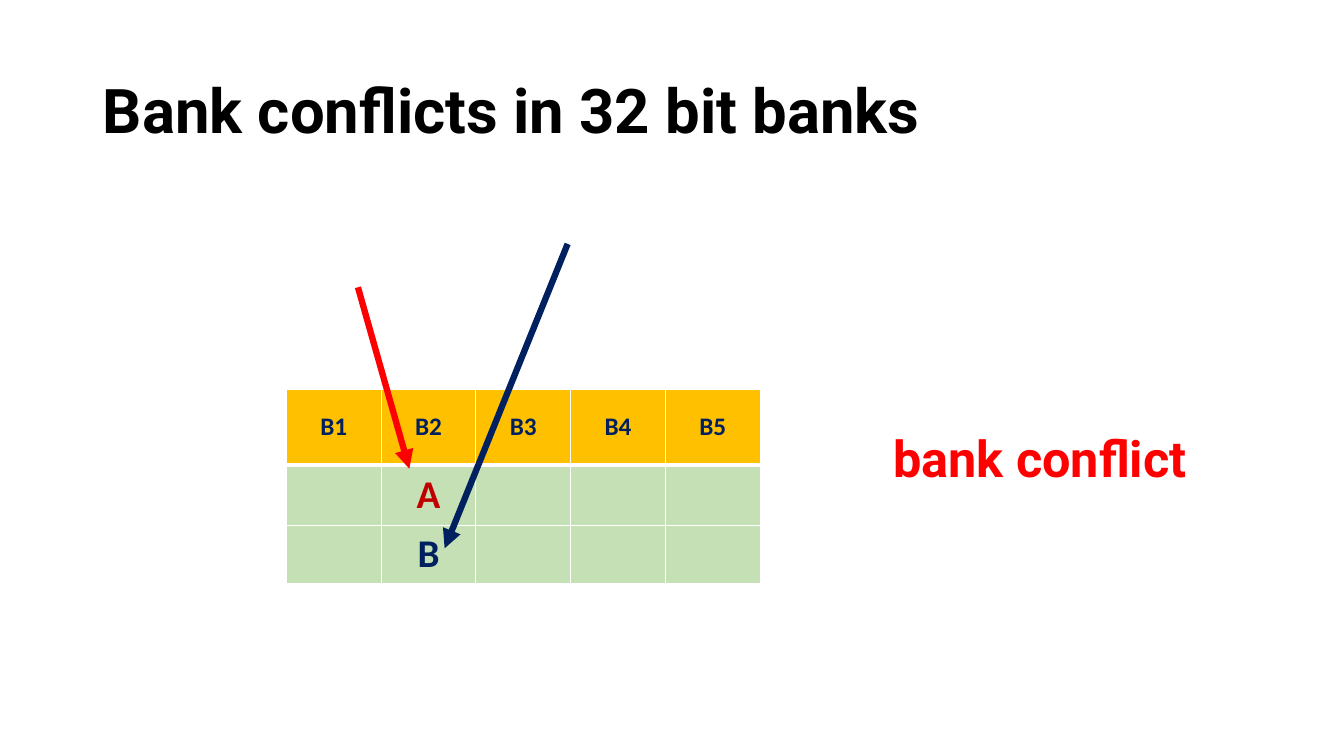
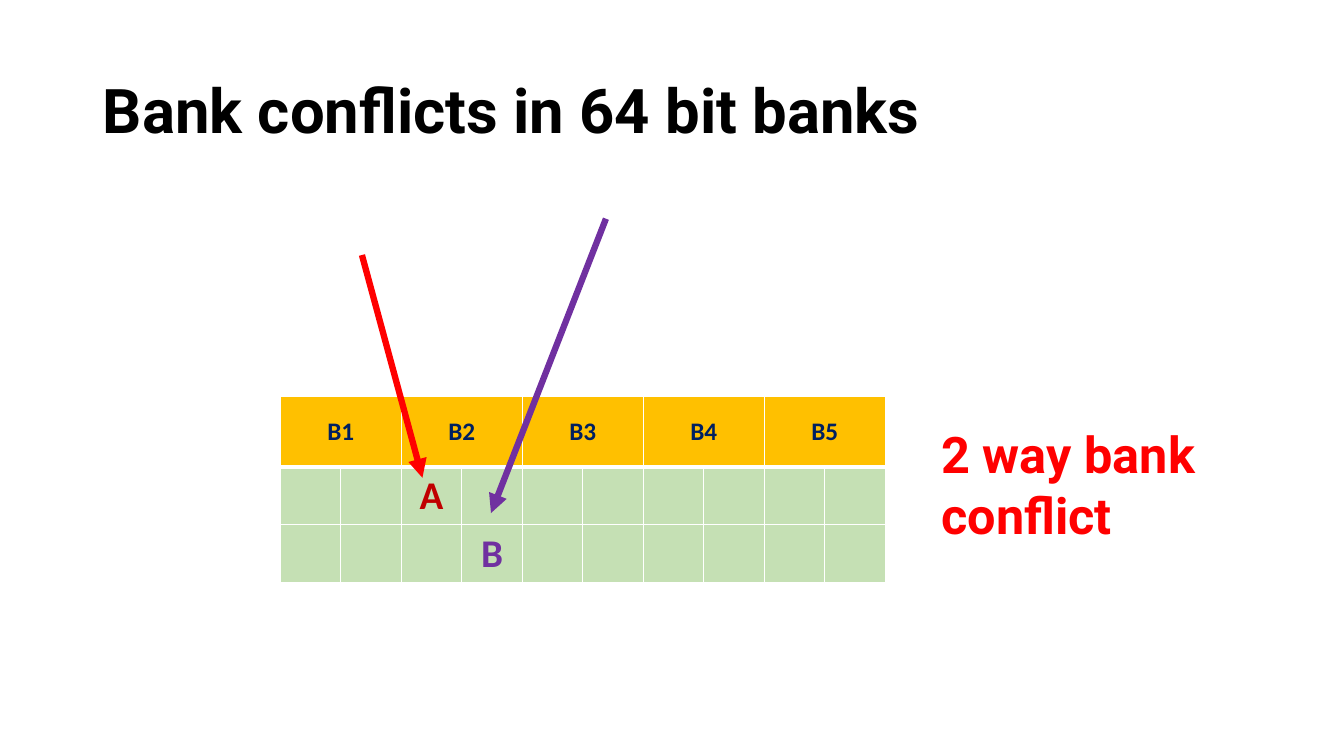
from pptx import Presentation
from pptx.dml.color import RGBColor
from pptx.enum.shapes import MSO_CONNECTOR
from pptx.enum.text import MSO_ANCHOR, MSO_AUTO_SIZE, PP_ALIGN
from pptx.oxml.ns import qn
from pptx.oxml.xmlchemy import OxmlElement
from pptx.util import Inches, Pt

STRAIGHT = MSO_CONNECTOR.STRAIGHT
MIDDLE = MSO_ANCHOR.MIDDLE
NO_AUTOFIT = MSO_AUTO_SIZE.NONE
FIT_SHAPE = MSO_AUTO_SIZE.SHAPE_TO_FIT_TEXT
LEFT, CENTER = PP_ALIGN.LEFT, PP_ALIGN.CENTER

BLACK, WHITE = "000000", "FFFFFF"
RED, DARK_RED = "FF0000", "C00000"
NAVY, PURPLE = "002060", "7030A0"
AMBER, GREEN = "FFC000", "C5E0B4"
HEADING_FONT, CELL_FONT = "Roboto", "Calibri"
BANKS = ["B1", "B2", "B3", "B4", "B5"]


def rgb(value):
    return RGBColor.from_string(value)


def style_text(tf, font, size, color, align=LEFT):
    for p in tf.paragraphs:
        p.alignment = align
        for r in p.runs:
            r.font.name = font
            r.font.size = Pt(size)
            r.font.bold = True
            r.font.color.rgb = rgb(color)


def add_title_slide(prs, title):
    s = prs.slides.add_slide(prs.slide_layouts[5])
    sp = s.shapes.title
    sp.left, sp.top = Inches(0.92), Inches(0.4)
    sp.width, sp.height = Inches(11.5), Inches(1.45)
    tf = sp.text_frame
    tf.text = title
    tf.auto_size = NO_AUTOFIT
    tf.vertical_anchor = MIDDLE
    tf.paragraphs[0].line_spacing = 0.9
    style_text(tf, HEADING_FONT, 44, BLACK)
    return s


def set_borders(cell, top, bottom):
    tc_pr = cell._tc.get_or_add_tcPr()
    widths = {"a:lnL": 1, "a:lnR": 1, "a:lnT": top, "a:lnB": bottom}
    for i, (tag, width) in enumerate(widths.items()):
        ln = OxmlElement(tag)
        ln.set("w", str(Pt(width)))
        fill = OxmlElement("a:solidFill")
        clr = OxmlElement("a:srgbClr")
        clr.set("val", WHITE)
        fill.append(clr)
        ln.append(fill)
        tc_pr.insert(i, ln)


def set_cell_text(cell, text, size, color):
    cell.text_frame.text = text
    style_text(cell.text_frame, CELL_FONT, size, color, CENTER)


def add_bank_table(s, left, top, col_width, row_heights, span, entries):
    rows, cols = len(row_heights), len(BANKS) * span
    frame = s.shapes.add_table(rows, cols, Inches(left), Inches(top),
                               Inches(col_width * cols), Inches(sum(row_heights)))
    table = frame.table
    for column in table.columns:
        column.width = Inches(col_width)
    for i, height in enumerate(row_heights):
        table.rows[i].height = Inches(height)
        for j in range(cols):
            cell = table.cell(i, j)
            cell.fill.solid()
            cell.fill.fore_color.rgb = rgb(GREEN if i else AMBER)
            cell.vertical_anchor = MIDDLE
            set_borders(cell, 3 if i == 1 else 1, 1 if i else 3)
    for i, bank in enumerate(BANKS):
        cell = table.cell(0, i * span)
        if span > 1:
            cell.merge(table.cell(0, (i + 1) * span - 1))
        set_cell_text(cell, bank, 18, NAVY)
    for row, col, text, color in entries:
        set_cell_text(table.cell(row, col), text, 28, color)


def add_arrow(s, start, end, color):
    x1, y1, x2, y2 = [Inches(v) for v in start + end]
    arrow = s.shapes.add_connector(STRAIGHT, x1, y1, x2, y2)
    arrow.line.color.rgb = rgb(color)
    arrow.line.width = Pt(4.5)
    sp_pr = arrow._element.spPr
    tail = OxmlElement("a:tailEnd")
    tail.set("type", "triangle")
    sp_pr.find(qn("a:ln")).append(tail)
    sp_pr.append(OxmlElement("a:effectLst"))


def add_verdict(s, left, top, height, text):
    sp = s.shapes.add_textbox(Inches(left), Inches(top), Inches(3.66), Inches(height))
    tf = sp.text_frame
    tf.word_wrap = True
    tf.auto_size = FIT_SHAPE
    tf.text = text
    style_text(tf, HEADING_FONT, 36, RED)


def main():
    prs = Presentation()
    prs.slide_width, prs.slide_height = Inches(13.33), Inches(7.5)

    s = add_title_slide(prs, "Bank conflicts in 32 bit banks")
    add_bank_table(s, 2.84, 3.86, 0.94, [0.75, 0.6, 0.57], 1,
                   [(1, 1, "A", DARK_RED), (2, 1, "B", NAVY)])
    add_arrow(s, (3.55, 2.85), (4.06, 4.65), RED)
    add_arrow(s, (5.63, 2.42), (4.41, 5.44), NAVY)
    add_verdict(s, 8.76, 4.19, 0.71, "bank conflict")

    s = add_title_slide(prs, "Bank conflicts in 64 bit banks")
    add_bank_table(s, 2.78, 3.93, 0.6, [0.7, 0.57, 0.57], 2,
                   [(1, 2, "A", DARK_RED), (2, 3, "B", PURPLE)])
    add_arrow(s, (3.59, 2.53), (4.19, 4.74), RED)
    add_arrow(s, (6.01, 2.17), (4.87, 5.09), PURPLE)
    add_verdict(s, 9.24, 4.15, 1.31, "2 way bank conflict")

    prs.save("out.pptx")


if __name__ == "__main__":
    main()
